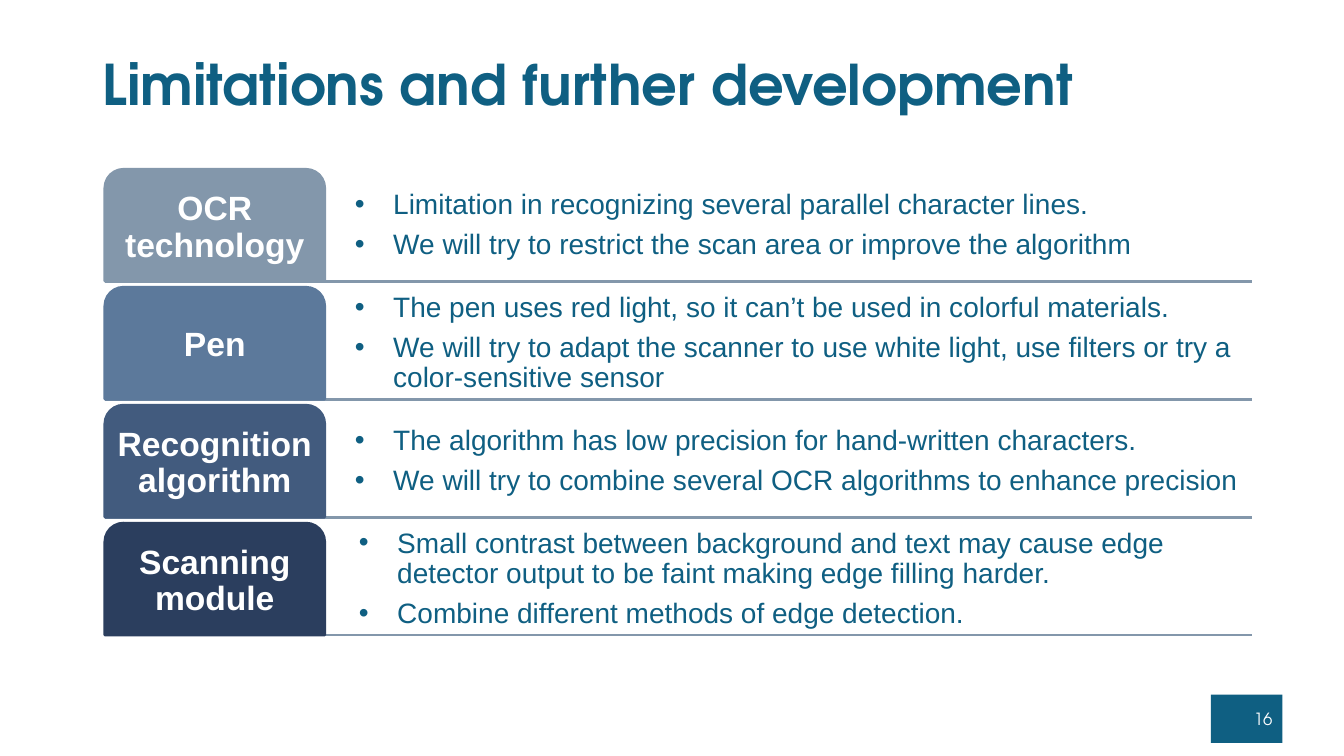
from dataclasses import dataclass

import pptx
import pptx.dml.color
import pptx.enum.shapes
import pptx.enum.text
import pptx.oxml
import pptx.oxml.ns
import pptx.shapes.base
import pptx.slide
import pptx.text.text
import pptx.util

Inches = pptx.util.Inches
Pt = pptx.util.Pt
RGBColor = pptx.dml.color.RGBColor
MSO_SHAPE = pptx.enum.shapes.MSO_SHAPE
PP_ALIGN = pptx.enum.text.PP_ALIGN

TEAL = RGBColor(0x0F, 0x5F, 0x82)
WHITE = RGBColor(0xFF, 0xFF, 0xFF)
GREY_BLUE = RGBColor(0x83, 0x97, 0xAB)
STEEL = RGBColor(0x5C, 0x79, 0x9B)
SLATE = RGBColor(0x42, 0x5B, 0x7E)
NAVY = RGBColor(0x2B, 0x3E, 0x5E)

HEADING_FONT = "TeX Gyre Adventor"
BODY_FONT = "Arial"

# Row geometry in inches
ROWS_TOP = 1.68
ROW_PITCH = 1.17
ROW_HEIGHT = 1.11
TAB_LEFT = 1.04
TAB_WIDTH = 2.18
POINTS_LEFT = 3.28
ROWS_RIGHT = 12.42
BULLET_INDENT = 0.38


@dataclass
class Topic:
    name: str
    color: RGBColor
    points: list[str]
    inset: float = 0.24


@dataclass
class TextStyle:
    font: str
    size: float
    color: RGBColor
    bold: bool = False
    align: PP_ALIGN = PP_ALIGN.LEFT
    line_spacing: float = 0.9


TITLE_STYLE = TextStyle(HEADING_FONT, 40, TEAL, bold=True)
NUMBER_STYLE = TextStyle(HEADING_FONT, 12, WHITE, align=PP_ALIGN.RIGHT, line_spacing=1.0)
TAB_STYLE = TextStyle(BODY_FONT, 24, WHITE, bold=True, align=PP_ALIGN.CENTER)
POINT_STYLE = TextStyle(BODY_FONT, 20, TEAL)

TOPICS = [
    Topic("OCR technology", GREY_BLUE, [
        "Limitation in recognizing several parallel character lines.",
        "We will try to restrict the scan area or improve the algorithm",
    ]),
    Topic("Pen", STEEL, [
        "The pen uses red light, so it can’t be used in colorful materials.",
        "We will try to adapt the scanner to use white light, use filters "
        "or try a color-sensitive sensor",
    ]),
    Topic("Recognition algorithm", SLATE, [
        "The algorithm has low precision for hand-written characters.",
        "We will try to combine several OCR algorithms to enhance precision",
    ]),
    Topic("Scanning module", NAVY, [
        "Small contrast between background and text may cause edge detector "
        "output to be faint making edge filling harder.",
        "Combine different methods of edge detection.",
    ], inset=0.28),
]


def write_text(shape: pptx.shapes.base.BaseShape, text: str, style: TextStyle,
               left: float = 0.1, right: float = 0.1) -> None:
    frame = shape.text_frame
    frame.word_wrap = True
    frame.vertical_anchor = pptx.enum.text.MSO_ANCHOR.MIDDLE
    frame.margin_left, frame.margin_right = Inches(left), Inches(right)
    frame.margin_top = frame.margin_bottom = Inches(0.05)
    frame.text = text
    for paragraph in frame.paragraphs:
        paragraph.alignment = style.align
        paragraph.line_spacing = style.line_spacing
        for run in paragraph.runs:
            run.font.name = style.font
            run.font.size = Pt(style.size)
            run.font.bold = style.bold
            run.font.color.rgb = style.color


def add_bullet(paragraph: pptx.text.text._Paragraph) -> None:
    properties = paragraph._p.get_or_add_pPr()
    properties.set("marL", str(Inches(BULLET_INDENT)))
    properties.set("indent", str(-Inches(BULLET_INDENT)))
    namespace = pptx.oxml.ns.nsdecls("a")
    for tag in (f'buFont {namespace} typeface="{BODY_FONT}"', f'buChar {namespace} char="•"'):
        properties.append(pptx.oxml.parse_xml(f"<a:{tag}/>"))


def add_block(slide: pptx.slide.Slide, kind: MSO_SHAPE, left: float, top: float,
              width: float, height: float, color: RGBColor) -> pptx.shapes.base.BaseShape:
    block = slide.shapes.add_shape(
        kind, Inches(left), Inches(top), Inches(width), Inches(height))
    block.shadow.inherit = False
    block.fill.solid()
    block.fill.fore_color.rgb = color
    block.line.fill.background()
    return block


def add_rule(slide: pptx.slide.Slide, y: float) -> None:
    rule = slide.shapes.add_connector(
        pptx.enum.shapes.MSO_CONNECTOR.STRAIGHT,
        Inches(TAB_LEFT), Inches(y), Inches(ROWS_RIGHT), Inches(y))
    rule.line.color.rgb = GREY_BLUE
    rule.line.width = Pt(2)
    no_shadow = pptx.oxml.parse_xml(f'<a:effectLst {pptx.oxml.ns.nsdecls("a")}/>')
    rule._element.spPr.append(no_shadow)


def add_topic(slide: pptx.slide.Slide, topic: Topic, top: float) -> None:
    add_rule(slide, top + ROW_HEIGHT)

    points = slide.shapes.add_textbox(
        Inches(POINTS_LEFT), Inches(top),
        Inches(ROWS_RIGHT - POINTS_LEFT), Inches(ROW_HEIGHT))
    write_text(points, "\n".join(topic.points), POINT_STYLE, left=topic.inset, right=0.05)
    for index, paragraph in enumerate(points.text_frame.paragraphs):
        paragraph.space_before = Pt(7 if index else 0)
        add_bullet(paragraph)

    tab = add_block(slide, MSO_SHAPE.ROUND_2_SAME_RECTANGLE,
                    TAB_LEFT, top, TAB_WIDTH, ROW_HEIGHT, topic.color)
    tab.line.color.rgb = topic.color
    tab.line.width = Pt(2)
    # The rounded corners already inset the text, so the side margins stay narrow
    write_text(tab, topic.name, TAB_STYLE, left=0.02, right=0.02)


def main() -> None:
    presentation = pptx.Presentation()
    presentation.slide_width = Inches(13.33)
    presentation.slide_height = Inches(7.5)
    slide = presentation.slides.add_slide(presentation.slide_layouts[6])

    # Title
    title = slide.shapes.add_textbox(Inches(0.92), Inches(0.45), Inches(11.5), Inches(0.83))
    write_text(title, "Limitations and further development", TITLE_STYLE)

    # Slide number
    number = add_block(slide, MSO_SHAPE.RECTANGLE, 12.01, 6.89, 0.71, 0.48, TEAL)
    write_text(number, "16", NUMBER_STYLE)

    # Topics
    for row, topic in enumerate(TOPICS):
        add_topic(slide, topic, ROWS_TOP + row * ROW_PITCH)

    presentation.save("out.pptx")


if __name__ == "__main__":
    main()
